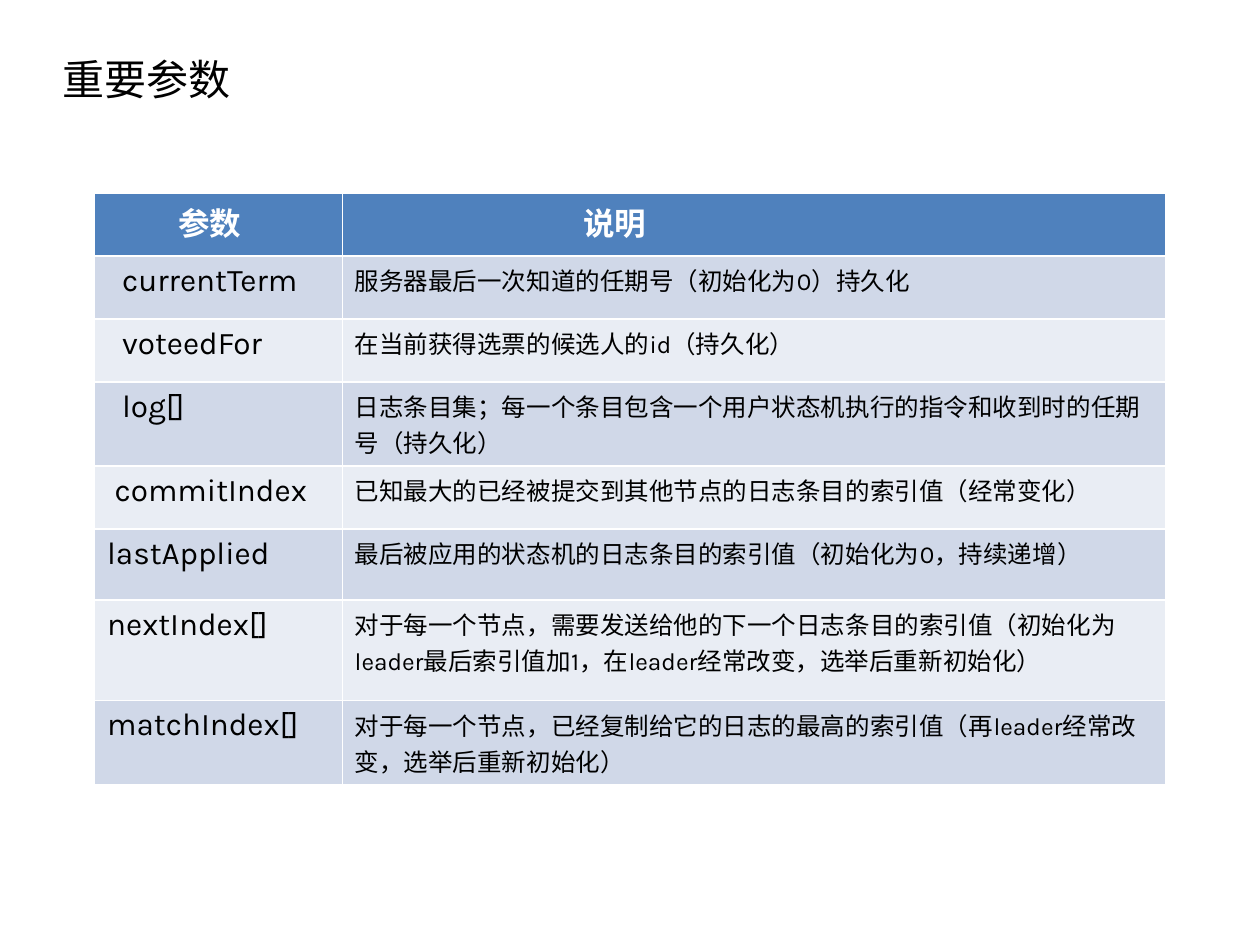
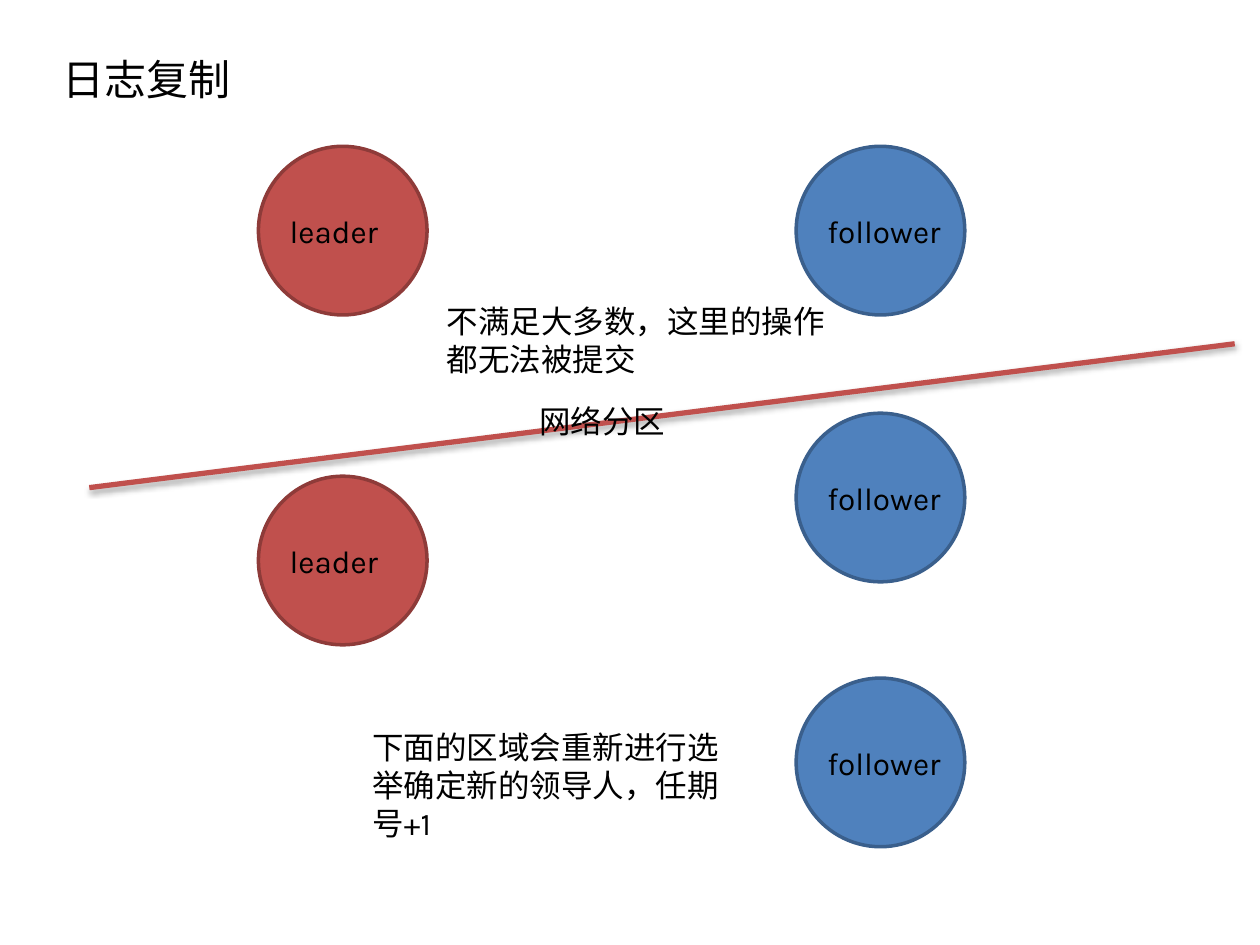
"""Build two slides on Raft: the key parameters and log replication under a partition."""
from dataclasses import dataclass

from lxml.etree import SubElement
from pptx import Presentation
from pptx.dml.color import RGBColor
from pptx.enum.shapes import MSO_CONNECTOR, MSO_SHAPE
from pptx.enum.text import MSO_ANCHOR, MSO_AUTO_SIZE, PP_ALIGN
from pptx.oxml import parse_xml
from pptx.oxml.ns import nsdecls, qn
from pptx.util import Cm, Pt


@dataclass(frozen=True)
class Theme:
    latin: str = "Karla"
    chinese: str = "Noto Sans CJK SC"
    black: RGBColor = RGBColor(0, 0, 0)
    white: RGBColor = RGBColor(255, 255, 255)
    blue: RGBColor = RGBColor.from_string("4F81BD")
    blue_edge: RGBColor = RGBColor.from_string("3A5F8C")
    red: RGBColor = RGBColor.from_string("C0504D")
    red_edge: RGBColor = RGBColor.from_string("8E3B39")
    bands: tuple = (RGBColor.from_string("E9EDF4"), RGBColor.from_string("D0D8E8"))
    title_size: Pt = Pt(24)
    label_size: Pt = Pt(18)
    note_size: Pt = Pt(14)


THEME = Theme()
TITLE_FORMAT = {"name": THEME.chinese, "size": THEME.title_size, "bold": False}
HEADER_FORMAT = {"name": THEME.latin, "size": THEME.label_size, "bold": True}
LABEL_FORMAT = {"name": THEME.latin, "size": THEME.label_size, "bold": False}
NOTE_FORMAT = {"name": THEME.latin, "size": THEME.note_size, "bold": False}


def write(frame, text, formats, color=THEME.black, east_asian=THEME.chinese):
    """Put one formatted run of text into a frame."""
    run = frame.paragraphs[0].add_run()
    run.text = text
    for attribute, value in formats.items():
        setattr(run.font, attribute, value)
    run.font.color.rgb = color
    SubElement(run.font._element, qn("a:ea"), typeface=east_asian)


def add_titled_slide(deck, heading):
    """Add a title-only slide with its heading in place."""
    slide = deck.slides.add_slide(deck.slide_layouts[5])
    title = slide.shapes.title
    title.left, title.top, title.width, title.height = Cm(1), Cm(0), Cm(22.86), Cm(3.18)
    title.text_frame.vertical_anchor = MSO_ANCHOR.MIDDLE
    write(title.text_frame, heading, TITLE_FORMAT)
    title.text_frame.paragraphs[0].alignment = PP_ALIGN.LEFT
    return slide


deck = Presentation()
deck.slide_width, deck.slide_height = Cm(25.4), Cm(19.05)

parameters_slide = add_titled_slide(deck, "重要参数")
parameters = [
    ("参数", "说明", 1.27, 1.68),
    ("currentTerm", "服务器最后一次知道的任期号（初始化为0）持久化", 1.27, 0.55),
    ("voteedFor", "在当前获得选票的候选人的id（持久化）", 1.27, 0.55),
    ("log[]", "日志条目集；每一个条目包含一个用户状态机执行的指令和收到时的任期号（持久化）", 1.45, 0.55),
    ("commitIndex", "已知最大的已经被提交到其他节点的日志条目的索引值（经常变化）", 1.27, 0.4),
    ("lastApplied", "最后被应用的状态机的日志条目的索引值（初始化为0，持续递增）", 1.43, 0.25),
    ("nextIndex[]", "对于每一个节点，需要发送给他的下一个日志条目的索引值"
     "（初始化为leader最后索引值加1，在leader经常改变，选举后重新初始化）", 2.03, 0.25),
    ("matchIndex[]", "对于每一个节点，已经复制给它的日志的最高的索引值"
     "（再leader经常改变，选举后重新初始化）", 1.45, 0.25),
]
parameter_table = parameters_slide.shapes.add_table(
    len(parameters), 2, Cm(1.91), Cm(3.89), Cm(21.59), Cm(11.44)).table
for column, width in zip(parameter_table.columns, (4.99, 16.6)):
    column.width = Cm(width)
for index, (name, meaning, height, indent) in enumerate(parameters):
    parameter_table.rows[index].height = Cm(height)
    name_cell, meaning_cell = parameter_table.rows[index].cells
    is_header = index == 0
    for cell in (name_cell, meaning_cell):
        cell.fill.solid()
        cell.fill.fore_color.rgb = THEME.blue if is_header else THEME.bands[index % 2]
    name_cell.margin_left = Cm(indent)
    meaning_cell.margin_left = Cm(4.86 if is_header else 0.25)
    color = THEME.white if is_header else THEME.black
    write(name_cell.text_frame, name, HEADER_FORMAT if is_header else LABEL_FORMAT, color)
    write(meaning_cell.text_frame, meaning, HEADER_FORMAT if is_header else NOTE_FORMAT, color)

replication_slide = add_titled_slide(deck, "日志复制")
roles = [
    ("leader", 5.21, (2.95, 9.6), THEME.red, THEME.red_edge),
    ("follower", 16.05, (2.95, 8.33, 13.67), THEME.blue, THEME.blue_edge),
]
captions = [
    ("网络分区", 10.62, 7.98, 8.08, 1.02),
    ("不满足大多数，这里的操作都无法被提交", 8.76, 5.97, 8.74, 1.8),
    ("下面的区域会重新进行选举确定新的领导人，任期号+1", 7.26, 14.55, 8.05, 2.57),
]
for role, left, tops, fill, edge in roles:
    for top in tops:
        node = replication_slide.shapes.add_shape(
            MSO_SHAPE.OVAL, Cm(left), Cm(top), Cm(3.4), Cm(3.4))
        node.shadow.inherit = False
        node.fill.solid()
        node.fill.fore_color.rgb = fill
        node.line.color.rgb = edge
        node.line.width = Pt(2)
        captions.append((role, left + 0.38, top + 1.2, 3, 1.02))

partition = replication_slide.shapes.add_connector(
    MSO_CONNECTOR.STRAIGHT, Cm(1.8), Cm(9.83), Cm(24.89), Cm(6.93))
partition.line.color.rgb = THEME.red
partition.line.width = Pt(3)
partition._element.spPr.append(parse_xml(
    f'<a:effectLst {nsdecls("a")}>'
    '<a:outerShdw blurRad="40000" dist="23000" dir="5400000" rotWithShape="0">'
    '<a:srgbClr val="000000"><a:alpha val="35000"/></a:srgbClr>'
    '</a:outerShdw></a:effectLst>'))

for text, left, top, width, height in captions:
    caption = replication_slide.shapes.add_textbox(Cm(left), Cm(top), Cm(width), Cm(height))
    caption.text_frame.word_wrap = True
    caption.text_frame.auto_size = MSO_AUTO_SIZE.SHAPE_TO_FIT_TEXT
    write(caption.text_frame, text, LABEL_FORMAT, east_asian=THEME.latin)

deck.save("out.pptx")
